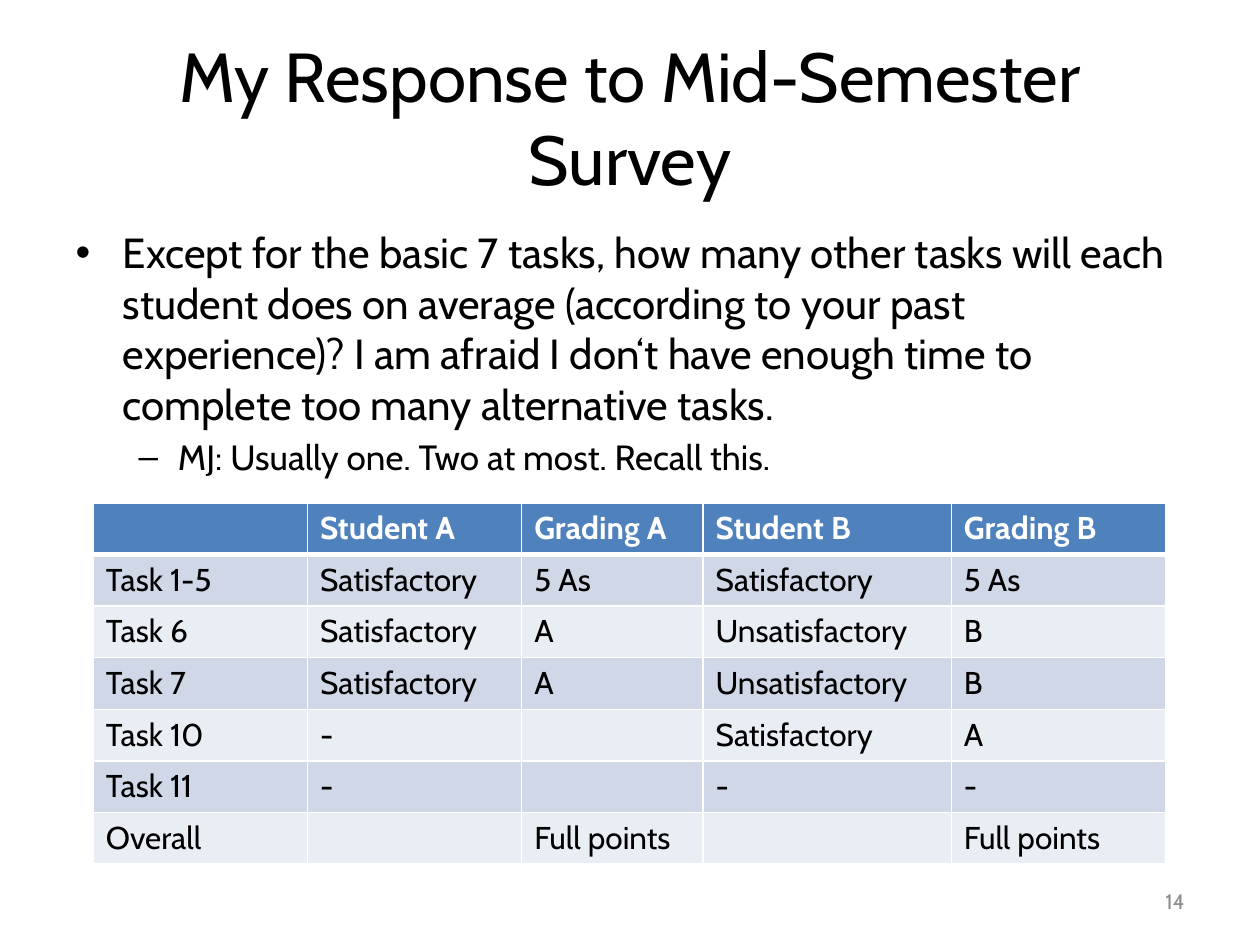
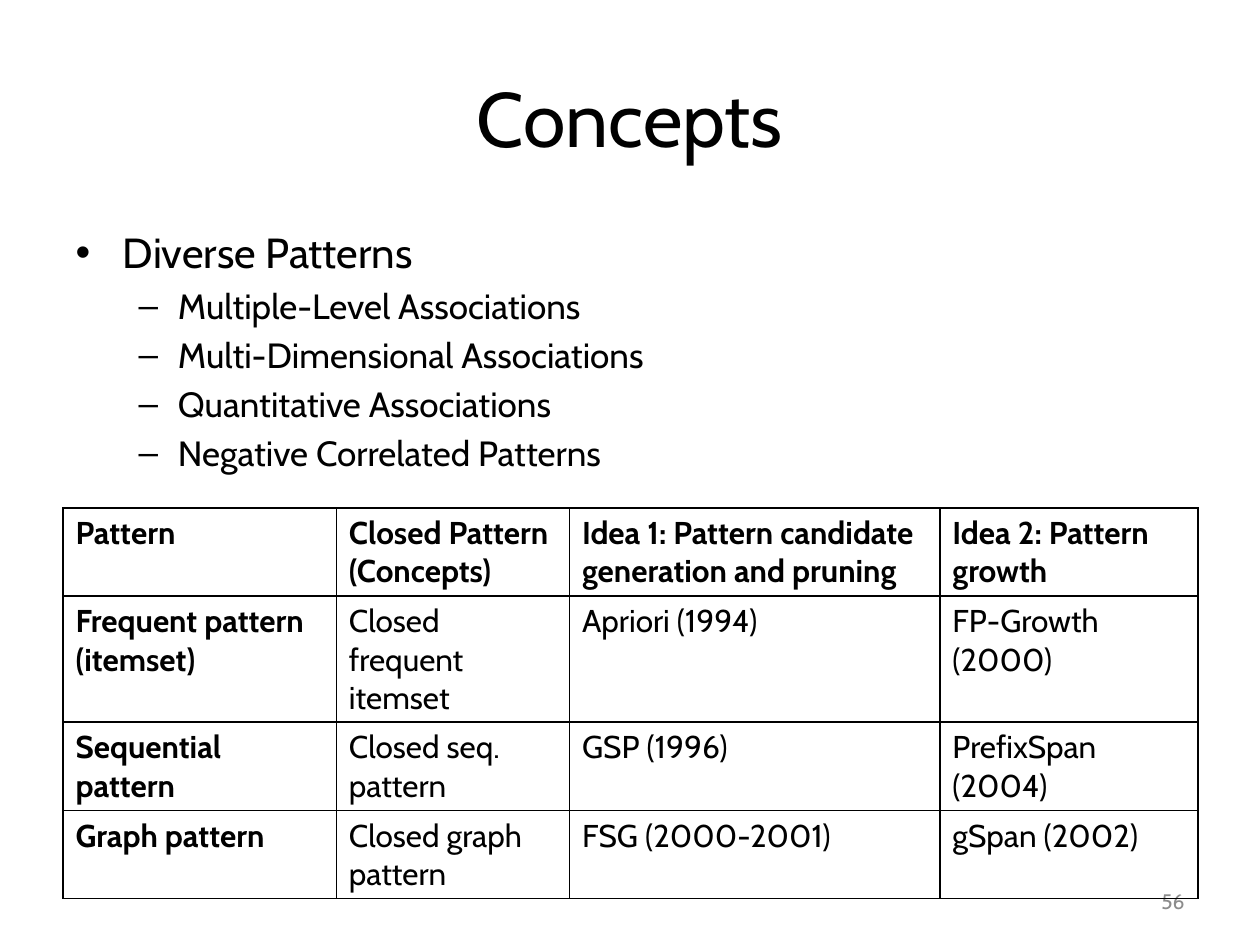
from lxml import etree
from pptx import Presentation
from pptx import util as u
from pptx.dml.color import RGBColor
from pptx.enum import text as t
from pptx.oxml import ns

FONT = "Cabin"
BLACK = RGBColor(0x00, 0x00, 0x00)
WHITE = RGBColor(0xFF, 0xFF, 0xFF)
GREY = RGBColor(0x8C, 0x8C, 0x8C)
HEADER_BLUE = RGBColor(0x4F, 0x81, 0xBD)
BAND_COLOURS = (RGBColor(0xE9, 0xED, 0xF4), RGBColor(0xD0, 0xD8, 0xE8))
LIST_SIZES = (24, 20)
ROW_HEIGHT = 0.41

GRADES = [
    ["", "Student A", "Grading A", "Student B", "Grading B"],
    ["Task 1-5", "Satisfactory", "5 As", "Satisfactory", "5 As"],
    ["Task 6", "Satisfactory", "A", "Unsatisfactory", "B"],
    ["Task 7", "Satisfactory", "A", "Unsatisfactory", "B"],
    ["Task 10", "-", "", "Satisfactory", "A"],
    ["Task 11", "-", "", "-", "-"],
    ["Overall", "", "Full points", "", "Full points"],
]
PATTERNS = [
    ["Pattern", "Closed Pattern (Concepts)",
     "Idea 1: Pattern candidate generation and pruning", "Idea 2: Pattern growth"],
    ["Frequent pattern (itemset)", "Closed frequent itemset", "Apriori (1994)",
     "FP-Growth (2000)"],
    ["Sequential pattern", "Closed seq. pattern", "GSP (1996)", "PrefixSpan (2004)"],
    ["Graph pattern", "Closed graph pattern", "FSG (2000-2001)", "gSpan (2002)"],
]


def write(para, content, size=18, colour=BLACK, bold=False, align=None):
    span = para.add_run()
    span.text = content
    span.font.name = FONT
    span.font.size = u.Pt(size)
    span.font.color.rgb = colour
    span.font.bold = bold
    if align is not None:
        para.alignment = align


def place(shape, left, top, width, height):
    shape.left, shape.top = u.Inches(left), u.Inches(top)
    shape.width, shape.height = u.Inches(width), u.Inches(height)


def add_page(deck, title, items, number, title_size=44):
    """Add a page with a title, a list of (level, text) items and a page number."""
    page = deck.slides.add_slide(deck.slide_layouts[1])
    heading, body = page.placeholders
    place(heading, 0.5, 0.3, 9, 1.25)
    heading.text_frame.auto_size = t.MSO_AUTO_SIZE.NONE
    heading.text_frame.vertical_anchor = t.MSO_ANCHOR.MIDDLE
    write(heading.text_frame.paragraphs[0], title, size=title_size,
          align=t.PP_ALIGN.CENTER)

    place(body, 0.5, 1.75, 9, 4.95)
    frame = body.text_frame
    frame.auto_size = t.MSO_AUTO_SIZE.NONE
    for index, (level, content) in enumerate(items):
        para = frame.add_paragraph() if index else frame.paragraphs[0]
        para.level = level
        write(para, content, size=LIST_SIZES[level])

    box = page.shapes.add_textbox(u.Inches(7.17), u.Inches(6.95),
                                  u.Inches(2.33), u.Inches(0.4))
    box.text_frame.word_wrap = True
    box.text_frame.vertical_anchor = t.MSO_ANCHOR.MIDDLE
    write(box.text_frame.paragraphs[0], str(number), size=12, colour=GREY,
          align=t.PP_ALIGN.RIGHT)
    return page


def set_borders(cell, colour, **widths):
    """Draw the four sides, 1 pt wide unless a side (L, R, T, B) is given."""
    properties = cell._tc.get_or_add_tcPr()
    for side in "LRTB":
        line = etree.SubElement(properties, ns.qn(f"a:ln{side}"),
                                w=str(u.Pt(widths.get(side, 1))))
        fill = etree.SubElement(line, ns.qn("a:solidFill"))
        etree.SubElement(fill, ns.qn("a:srgbClr"), val=str(colour))


def add_grid(page, rows, left, top, widths):
    """Add a table of plain cells, leaving borders and fills to the caller."""
    frame = page.shapes.add_table(
        len(rows), len(widths), u.Inches(left), u.Inches(top),
        u.Inches(sum(widths)), u.Inches(ROW_HEIGHT * len(rows)))
    table = frame.table
    table.first_row = table.horz_banding = False
    for column, width in zip(table.columns, widths):
        column.width = u.Inches(width)
    for row in table.rows:
        row.height = u.Inches(ROW_HEIGHT)
    return table


def add_banded_table(page, rows, left, top, widths):
    table = add_grid(page, rows, left, top, widths)
    for r, row in enumerate(rows):
        header = r == 0
        for c, content in enumerate(row):
            cell = table.cell(r, c)
            edges = {"B": 3} if header else {"T": 3} if r == 1 else {}
            set_borders(cell, WHITE, **edges)
            cell.fill.solid()
            cell.fill.fore_color.rgb = HEADER_BLUE if header else BAND_COLOURS[r % 2]
            if content:
                write(cell.text_frame.paragraphs[0], content, bold=header,
                      colour=WHITE if header else BLACK)


def add_outlined_table(page, rows, left, top, widths):
    table = add_grid(page, rows, left, top, widths)
    for r, row in enumerate(rows):
        for c, content in enumerate(row):
            cell = table.cell(r, c)
            set_borders(cell, BLACK)
            cell.fill.background()
            write(cell.text_frame.paragraphs[0], content, bold=r == 0 or c == 0)


def main():
    deck = Presentation()
    deck.slide_width, deck.slide_height = u.Inches(10), u.Inches(7.5)

    survey = add_page(deck, "My Response to Mid-Semester Survey", [
        (0, "Except for the basic 7 tasks, how many other tasks will each student "
            "does on average (according to your past experience)? I am afraid I "
            "don‘t have enough time to complete too many alternative tasks."),
        (1, "MJ: Usually one. Two at most. Recall this."),
    ], number=14, title_size=39.6)
    add_banded_table(survey, GRADES, 0.74, 3.99, [1.7, 1.7, 1.44, 1.97, 1.7])

    concepts = add_page(deck, "Concepts", [
        (0, "Diverse Patterns"),
        (1, "Multiple-Level Associations"),
        (1, "Multi-Dimensional Associations"),
        (1, "Quantitative Associations"),
        (1, "Negative Correlated Patterns"),
    ], number=56)
    add_outlined_table(concepts, PATTERNS, 0.5, 4.03, [2.17, 1.85, 2.94, 2.05])

    deck.save("out.pptx")


if __name__ == "__main__":
    main()
